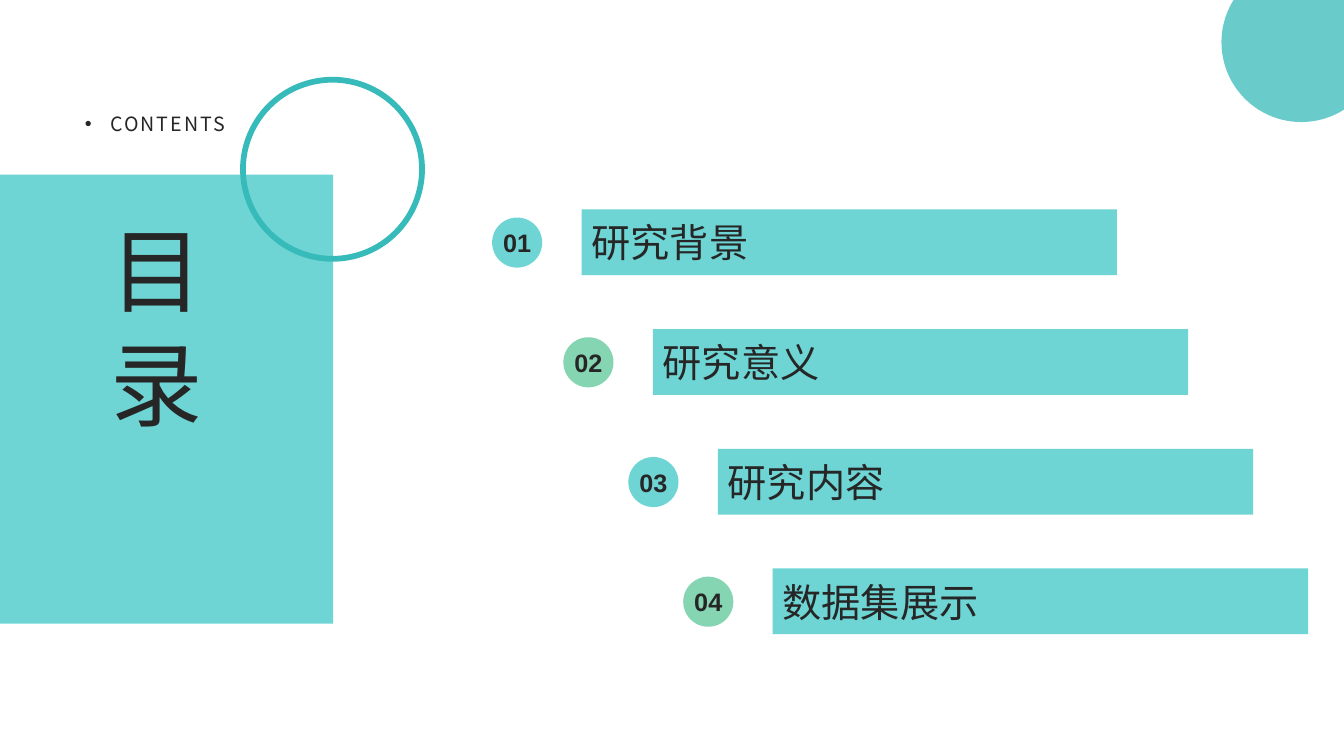
import math

import pptx
import pptx.dml.color
import pptx.enum.shapes
import pptx.enum.text
import pptx.oxml
import pptx.oxml.ns
import pptx.util

Pt = pptx.util.Pt
SHAPE = pptx.enum.shapes.MSO_SHAPE
ALIGN = pptx.enum.text.PP_ALIGN
ANCHOR = pptx.enum.text.MSO_ANCHOR
TEAL, DEEP_TEAL, GREEN, INK = "6ED4D4", "37BABA", "85D4B2", "262626"


def paint(color_format, color):
    """Fill a shape, or colour a font, with a hex colour."""
    color_format.solid()
    color_format.fore_color.rgb = pptx.dml.color.RGBColor.from_string(color)


def add_block(kind, left, top, width, height, color):
    sp = shapes.add_shape(kind, Pt(left), Pt(top), Pt(width), Pt(height))
    sp.shadow.inherit = False
    paint(sp.fill, color)
    sp.line.fill.background()
    return sp


prs = pptx.Presentation()
prs.slide_width, prs.slide_height = Pt(960), Pt(540)
slide = prs.slides.add_slide(prs.slide_layouts[5])
shapes = slide.shapes

# Left panel and ring
add_block(SHAPE.RECTANGLE, 0, 124.8, 238, 320.7, TEAL)
ring = add_block(SHAPE.DONUT, 171.5, 54.9, 132, 132, DEEP_TEAL)
ring.adjustments[0] = 0.031

# Disc cut off by the top right corner of the slide
cx, cy, radius = 929.5, 30.2, 57
start = math.acos((960 - cx) / radius)
end = math.pi + math.asin(cy / radius)
steps = 90
angles = [start + (end - start) * i / steps for i in range(steps + 1)]
arc = [(Pt(cx + radius * math.cos(a)), Pt(cy + radius * math.sin(a))) for a in angles]
builder = shapes.build_freeform(*arc[0], scale=1.0)
builder.add_line_segments(arc[1:] + [(Pt(960), 0)], close=True)
disc = builder.convert_to_shape()
disc.shadow.inherit = False
paint(disc.fill, DEEP_TEAL)
disc.line.fill.background()
fill_color = disc._element.spPr.find(".//" + pptx.oxml.ns.qn("a:srgbClr"))
pptx.oxml.ns.qn("a:alpha")
alpha = pptx.oxml.parse_xml(f'<a:alpha {pptx.oxml.ns.nsdecls("a")} val="74000"/>')
fill_color.append(alpha)

# Bulleted label above the panel
label = shapes.add_textbox(Pt(52.6), Pt(74.9), Pt(130), Pt(30))
tf = label.text_frame
frame_format = {"word_wrap": True, "margin_left": Pt(8), "margin_right": Pt(6.5),
                "margin_top": 0, "margin_bottom": 0}
for name, value in frame_format.items():
    setattr(tf, name, value)
p = tf.paragraphs[0]
p.line_spacing, p.space_after = 1.3, Pt(10)
pPr = p._p.get_or_add_pPr()
pPr.set("marL", str(Pt(18)))
pPr.set("indent", str(Pt(-18)))
for xml in ('<a:buFont {} typeface="Arial"/>', '<a:buChar {} char="•"/>'):
    pPr.append(pptx.oxml.parse_xml(xml.format(pptx.oxml.ns.nsdecls("a"))))
r = p.add_run()
r.text = "CONTENTS"
r.font.size, r.font.name = Pt(14), "Noto Sans CJK SC"
paint(r.font.fill, INK)
r._r.get_or_add_rPr().set("spc", "150")

# Agenda: numbered circles with bars, stepping to the right
agenda = [
    (415.5, "研究背景", TEAL),
    (466.4, "研究意义", GREEN),
    (512.8, "研究内容", TEAL),
    (552, "数据集展示", GREEN),
]
for i, (left, topic, circle_color) in enumerate(agenda):
    top = 149.6 + 85.5 * i
    bar = add_block(SHAPE.RECTANGLE, left, top, 382.4, 47, TEAL)
    circle = add_block(SHAPE.OVAL, left - 64, top + 5.8, 35.8, 35.8, circle_color)
    circle_tf = circle.text_frame
    for side in ("left", "right", "top", "bottom"):
        setattr(circle_tf, f"margin_{side}", 0)
    texts = [
        (bar, topic, ALIGN.LEFT, {"size": Pt(28), "name": "Arial"}),
        (circle, f"{i + 1:02}", ALIGN.CENTER, {"size": Pt(18), "name": "Arial", "bold": True}),
    ]
    for sp, text, alignment, font_format in texts:
        sp.text_frame.vertical_anchor = ANCHOR.MIDDLE
        p = sp.text_frame.paragraphs[0]
        p.alignment = alignment
        r = p.add_run()
        r.text = text
        for name, value in font_format.items():
            setattr(r.font, name, value)
        paint(r.font.fill, INK)

# Vertical title, brought in front of the panel
title = shapes.title
title_format = {"left": Pt(62.6), "top": Pt(156.2), "width": Pt(94.3), "height": Pt(259.2)}
for name, value in title_format.items():
    setattr(title, name, value)
tf = title.text_frame
tf.auto_size = pptx.enum.text.MSO_AUTO_SIZE.NONE
tf.vertical_anchor = ANCHOR.MIDDLE
tf._txBody.bodyPr.set("vert", "eaVert")
p = tf.paragraphs[0]
p.alignment = ALIGN.LEFT
r = p.add_run()
r.text = "目 录"
r.font.size, r.font.name = Pt(66), "Arial"
paint(r.font.fill, INK)
title._element.getparent().append(title._element)

prs.save("out.pptx")
